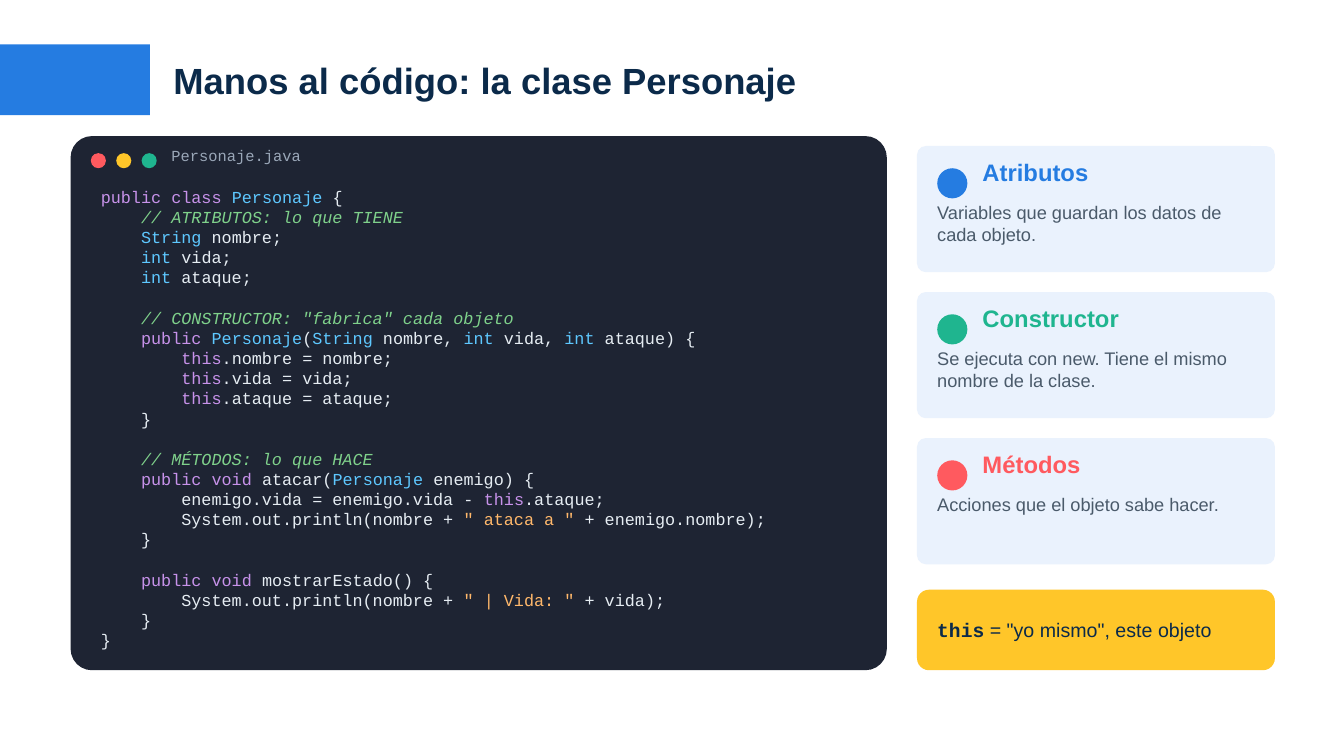
from pptx import Presentation
from pptx.dml.color import RGBColor
from pptx.enum.shapes import MSO_SHAPE
from pptx.enum.text import MSO_ANCHOR, MSO_AUTO_SIZE, PP_ALIGN
from pptx.util import Cm, Pt

SANS, MONO = "Arial", "Courier New"
NAVY, BLUE, GREEN, RED, YELLOW = "0B2A4A", "257CE1", "1FB58F", "FF5A5F", "FFC629"
PANEL, PALE, GREY, SLATE = "1E2433", "EAF2FD", "9AA7B8", "4A5A6A"
PLAIN, KEYWORD, TYPE, STRING, COMMENT = "E6EDF3", "C792EA", "5EC8FF", "FFB86B", "7FD18B"
CODE_SIZE, CODE_LINE = 12, 14.4

INDENT = (PLAIN, "    ")
DEEP_INDENT = (PLAIN, "        ")
THIS = (KEYWORD, "this")
METHOD_END = [(PLAIN, "    }")]


def assignment(name):
    return [DEEP_INDENT, THIS, (PLAIN, f".{name} = {name};")]


def attribute(kind, name):
    return [INDENT, (TYPE, kind + " "), (PLAIN, name + ";")]


def print_line(literal, rest):
    return [(PLAIN, "        System.out.println(nombre + "),
            (STRING, literal + " "), (PLAIN, rest)]


# Blocks of lines, each line a list of (colour, text) runs
CODE_BLOCKS = [
    [
        [(KEYWORD, "public class "), (TYPE, "Personaje "), (PLAIN, "{")],
        [INDENT, (COMMENT, "// ATRIBUTOS: lo que TIENE")],
        attribute("String", "nombre"),
        attribute("int", "vida"),
        attribute("int", "ataque"),
    ],
    [
        [INDENT, (COMMENT, '// CONSTRUCTOR: "fabrica" cada objeto')],
        [INDENT, (KEYWORD, "public "), (TYPE, "Personaje"), (PLAIN, "("),
         (TYPE, "String "), (PLAIN, "nombre, "), (TYPE, "int "), (PLAIN, "vida, "),
         (TYPE, "int "), (PLAIN, "ataque) {")],
        assignment("nombre"),
        assignment("vida"),
        assignment("ataque"),
        METHOD_END,
    ],
    [
        [INDENT, (COMMENT, "// MÉTODOS: lo que HACE")],
        [INDENT, (KEYWORD, "public void "), (PLAIN, "atacar("),
         (TYPE, "Personaje "), (PLAIN, "enemigo) {")],
        [(PLAIN, "        enemigo.vida = enemigo.vida - "), THIS, (PLAIN, ".ataque;")],
        print_line('" ataca a "', "+ enemigo.nombre);"),
        METHOD_END,
    ],
    [
        [INDENT, (KEYWORD, "public void "), (PLAIN, "mostrarEstado() {")],
        print_line('" | Vida: "', "+ vida);"),
        METHOD_END,
        [(PLAIN, "}")],
    ],
]

CARDS = [
    ("Atributos", "Variables que guardan los datos de cada objeto.", BLUE),
    ("Constructor", "Se ejecuta con new. Tiene el mismo nombre de la clase.", GREEN),
    ("Métodos", "Acciones que el objeto sabe hacer.", RED),
]
CARD_LEFT, CARD_TOP, CARD_WIDTH, CARD_HEIGHT, CARD_PITCH = 23.11, 3.68, 9.02, 3.18, 3.68
CARD_INSET = 0.51


def colour(hex_code):
    return RGBColor.from_string(hex_code)


def add_block(page, kind, left, top, width, height, fill, rounding=None):
    block = page.shapes.add_shape(kind, Cm(left), Cm(top), Cm(width), Cm(height))
    block.shadow.inherit = False
    block.fill.solid()
    block.fill.fore_color.rgb = colour(fill)
    block.line.fill.background()
    if rounding is not None:
        block.adjustments[0] = rounding


def add_dot(page, left, top, size, fill):
    add_block(page, MSO_SHAPE.OVAL, left, top, size, size, fill)


def prepare_frame(frame, anchor):
    frame.word_wrap = True
    frame.auto_size = MSO_AUTO_SIZE.NONE
    frame.vertical_anchor = anchor
    frame.margin_left = frame.margin_right = frame.margin_top = frame.margin_bottom = 0


def add_box(page, left, top, width, height, anchor=MSO_ANCHOR.TOP):
    box = page.shapes.add_textbox(Cm(left), Cm(top), Cm(width), Cm(height))
    prepare_frame(box.text_frame, anchor)
    return box.text_frame


def add_span(para, text, size, hex_code, face=SANS, bold=False, italic=False):
    span = para.add_run()
    span.text = text
    span.font.name = face
    span.font.size = Pt(size)
    span.font.bold = bold
    span.font.italic = italic
    span.font.color.rgb = colour(hex_code)


def set_title(page, text):
    title = page.shapes.title
    title.left, title.top, title.width, title.height = Cm(4.37), Cm(1.12), Cm(27.94), Cm(1.78)
    prepare_frame(title.text_frame, MSO_ANCHOR.MIDDLE)
    para = title.text_frame.paragraphs[0]
    para.alignment = PP_ALIGN.LEFT
    add_span(para, text, 26, NAVY, bold=True)


def add_code(page):
    frame = add_box(page, 2.54, 4.7, 19.3, 11.81)
    for block_index, block in enumerate(CODE_BLOCKS):
        for line_index, line in enumerate(block):
            first = block_index == line_index == 0
            para = frame.paragraphs[0] if first else frame.add_paragraph()
            if line_index == 0 and not first:
                para.space_before = Pt(CODE_LINE)
            for hex_code, text in line:
                add_span(para, text, CODE_SIZE, hex_code, MONO, italic=hex_code == COMMENT)


def add_editor(page):
    add_block(page, MSO_SHAPE.ROUNDED_RECTANGLE, 1.78, 3.43, 20.57, 13.46, PANEL, 0.04)
    for index, fill in enumerate((RED, YELLOW, GREEN)):
        add_dot(page, 2.29 + index * 0.64, 3.86, 0.38, fill)
    file_name = add_box(page, 4.32, 3.68, 17.53, 0.76)
    add_span(file_name.paragraphs[0], "Personaje.java", 11, GREY, MONO)
    add_code(page)


def add_card(page, top, heading, body, accent):
    add_block(page, MSO_SHAPE.ROUNDED_RECTANGLE, CARD_LEFT, top,
              CARD_WIDTH, CARD_HEIGHT, PALE, 0.07)
    add_dot(page, CARD_LEFT + CARD_INSET, top + 0.56, 0.76, accent)
    heading_frame = add_box(page, CARD_LEFT + 1.65, top + 0.3, 7.11, 1.14)
    add_span(heading_frame.paragraphs[0], heading, 17, accent, bold=True)
    body_frame = add_box(page, CARD_LEFT + CARD_INSET, top + 1.4, 8.13, 1.78)
    add_span(body_frame.paragraphs[0], body, 13, SLATE)


def add_this_note(page):
    top, height = 14.86, 2.03
    add_block(page, MSO_SHAPE.ROUNDED_RECTANGLE, CARD_LEFT, top,
              CARD_WIDTH, height, YELLOW, 0.15)
    frame = add_box(page, CARD_LEFT + CARD_INSET, top, 8.13, height, MSO_ANCHOR.MIDDLE)
    para = frame.paragraphs[0]
    add_span(para, "this", 14, NAVY, MONO, bold=True)
    add_span(para, ' = "yo mismo", este objeto', 14, NAVY)


def main():
    deck = Presentation()
    deck.slide_width, deck.slide_height = Cm(33.87), Cm(19.05)
    page = deck.slides.add_slide(deck.slide_layouts[5])
    add_block(page, MSO_SHAPE.RECTANGLE, 0, 1.12, 3.78, 1.78, BLUE)
    set_title(page, "Manos al código: la clase Personaje")
    add_editor(page)
    for index, card in enumerate(CARDS):
        add_card(page, CARD_TOP + index * CARD_PITCH, *card)
    add_this_note(page)
    deck.save("out.pptx")


if __name__ == "__main__":
    main()
